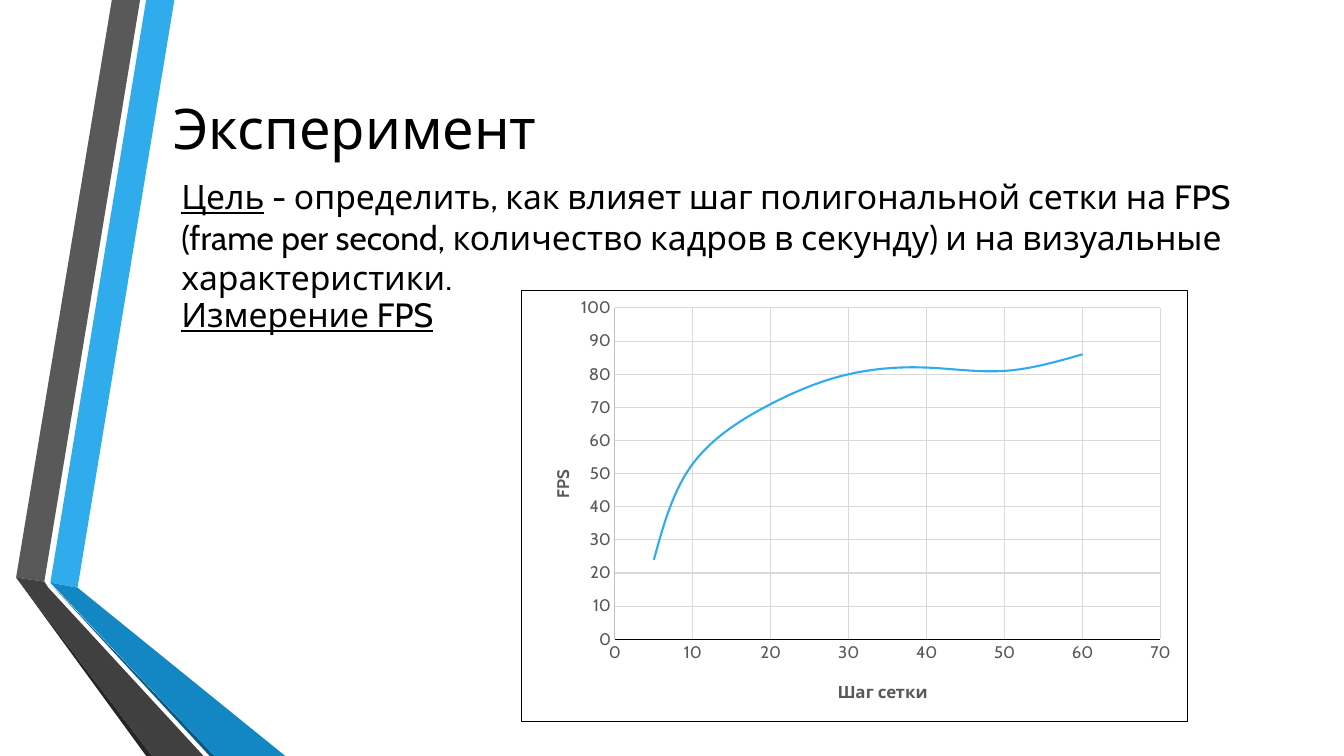
import pptx
import pptx.chart.data
import pptx.dml.color
import pptx.enum.chart
import pptx.enum.text
import pptx.oxml
import pptx.oxml.ns
import pptx.util
from pptx.util import Inches

FONT = "Cabin"
BANDS = [
    ("30ACEC", [(0.5, 5.78), (0.77, 5.83), (1.73, 0), (1.45, 0)]),
    ("595959", [(1.39, 0), (1.11, 0), (0.16, 5.73), (0.44, 5.77)]),
    ("262626", [(0.16, 5.73), (1.45, 7.5), (1.51, 7.5)]),
    ("0C5A82", [(0.5, 5.79), (2.08, 7.5), (2.13, 7.5)]),
    ("1287C3", [(0.5, 5.78), (2.13, 7.5), (2.83, 7.5), (0.77, 5.83)]),
    ("404040", [(0.16, 5.73), (1.51, 7.5), (2.02, 7.5), (0.48, 5.83), (0.44, 5.77)]),
]
FPS_BY_STEP = [(5, 24), (10, 53), (20, 71), (30, 80), (40, 82), (50, 81), (60, 86)]


def color(hex_string):
    """Return the colour for a hex string."""
    return pptx.dml.color.RGBColor.from_string(hex_string)


def style_font(font, size, hex_string, bold=False):
    """Set face, size, colour and weight of a font."""
    font.name = FONT
    font.size = pptx.util.Pt(size)
    font.bold = bold
    font.color.rgb = color(hex_string)


def style_line(line, hex_string, width=0.75):
    """Set colour and width of a line."""
    line.color.rgb = color(hex_string)
    line.width = pptx.util.Pt(width)


def add_band(slide, fill, points):
    """Draw one filled polygon of the ribbon."""
    corners = [(Inches(x), Inches(y)) for x, y in points]
    builder = slide.shapes.build_freeform(*corners[0], scale=1.0)
    builder.add_line_segments(corners[1:], close=True)
    band = builder.convert_to_shape()
    band.shadow.inherit = False
    band.fill.solid()
    band.fill.fore_color.rgb = color(fill)
    band.line.fill.background()


def set_title(slide, text):
    """Place and format the slide title."""
    title = slide.shapes.title
    title.left, title.top = Inches(1.62), Inches(0.75)
    title.width, title.height = Inches(10.95), Inches(1.03)
    frame = title.text_frame
    frame.text = text
    frame.auto_size = pptx.enum.text.MSO_AUTO_SIZE.NONE
    frame.vertical_anchor = pptx.enum.text.MSO_ANCHOR.MIDDLE
    paragraph = frame.paragraphs[0]
    paragraph.alignment = pptx.enum.text.PP_ALIGN.LEFT
    style_font(paragraph.font, 40, "000000")


def add_note(slide, top, width, height, heading, body=""):
    """Add a paragraph that opens with an underlined heading."""
    box = slide.shapes.add_textbox(Inches(1.7), Inches(top), Inches(width), Inches(height))
    box.text_frame.word_wrap = True
    paragraph = box.text_frame.paragraphs[0]
    style_font(paragraph.font, 24, "000000")
    lead = paragraph.add_run()
    lead.text = heading
    lead.font.underline = True
    if body:
        paragraph.add_run().text = body


def chart_xml(content):
    """Parse chart markup with its namespaces declared."""
    tag, rest = content.split(">", 1)
    return pptx.oxml.parse_xml(f"{tag} {pptx.oxml.ns.nsdecls('c', 'a')}>{rest}")


def place(element, index, mode="", **fractions):
    """Give a chart part a manual layout in fractions of the chart."""
    for layout in element.findall(pptx.oxml.ns.qn("c:layout")):
        element.remove(layout)
    target = f'<c:layoutTarget val="{mode}"/>' if mode else ""
    modes = '<c:xMode val="edge"/><c:yMode val="edge"/>'
    values = "".join(f'<c:{key} val="{value}"/>' for key, value in fractions.items())
    element.insert(index, chart_xml(
        f"<c:layout><c:manualLayout>{target}{modes}{values}</c:manualLayout></c:layout>"))


def style_axis(axis, title, maximum, line_color, rotation, x, y):
    """Format one axis with its title, gridlines and labels."""
    axis.minimum_scale, axis.maximum_scale, axis.major_unit = 0, maximum, 10
    axis.major_tick_mark = axis.minor_tick_mark = pptx.enum.chart.XL_TICK_MARK.NONE
    axis.has_major_gridlines = True
    style_line(axis.major_gridlines.format.line, "D9D9D9")
    style_line(axis.format.line, line_color)
    style_font(axis.tick_labels.font, 12, "595959")
    frame = axis.axis_title.text_frame
    frame.text = title
    style_font(frame.paragraphs[0].font, 12, "595959", bold=True)
    title_element = axis.axis_title.element
    title_element.find(".//" + pptx.oxml.ns.qn("a:bodyPr")).set("rot", str(rotation))
    place(title_element, 1, x=x, y=y)


def add_fps_chart(slide):
    """Add the smooth curve of FPS against mesh step."""
    data = pptx.chart.data.XyChartData()
    fps = data.add_series("Series 1")
    for step, rate in FPS_BY_STEP:
        fps.add_data_point(step, rate)
    chart = slide.shapes.add_chart(
        pptx.enum.chart.XL_CHART_TYPE.XY_SCATTER_SMOOTH_NO_MARKERS,
        Inches(5.17), Inches(2.88), Inches(6.61), Inches(4.28), data).chart
    chart.has_legend = chart.has_title = False
    style_font(chart.font, 10, "000000")
    plot = chart.plots[0]
    plot.vary_by_categories = False
    curve = plot.series[0]
    style_line(curve.format.line, "30ACEC", 1.5)
    curve.marker.style = pptx.enum.chart.XL_MARKER_STYLE.NONE
    curve_element = chart.element.find(".//" + pptx.oxml.ns.qn("c:ser"))
    curve_element.find(pptx.oxml.ns.qn("c:smooth")).set("val", "1")
    style_axis(chart.category_axis, "Шаг сетки", 70, "000000", 0, 0.47, 0.9)
    style_axis(chart.value_axis, "FPS", 100, "BFBFBF", -5400000, 0.04, 0.41)
    place(chart.element.find(".//" + pptx.oxml.ns.qn("c:plotArea")), 0, "inner",
          x=0.14, y=0.04, w=0.82, h=0.77)
    chart.element.find(pptx.oxml.ns.qn("c:chart")).addnext(chart_xml(
        '<c:spPr><a:solidFill><a:srgbClr val="FFFFFF"/></a:solidFill><a:ln w="9525">'
        '<a:solidFill><a:srgbClr val="000000"/></a:solidFill></a:ln></c:spPr>'))


def main():
    """Build the experiment slide and save it."""
    presentation = pptx.Presentation()
    presentation.slide_width, presentation.slide_height = Inches(13.33), Inches(7.5)
    slide = presentation.slides.add_slide(presentation.slide_layouts[5])
    for fill, points in BANDS:
        add_band(slide, fill, points)
    set_title(slide, "Эксперимент")
    add_note(slide, 1.7, 10.87, 0.91, "Цель",
             " - определить, как влияет шаг полигональной сетки на FPS (frame per second, "
             "количество кадров в секунду) и на визуальные характеристики.")
    add_note(slide, 2.87, 2.76, 0.5, "Измерение FPS")
    add_fps_chart(slide)
    presentation.save("out.pptx")


if __name__ == "__main__":
    main()
